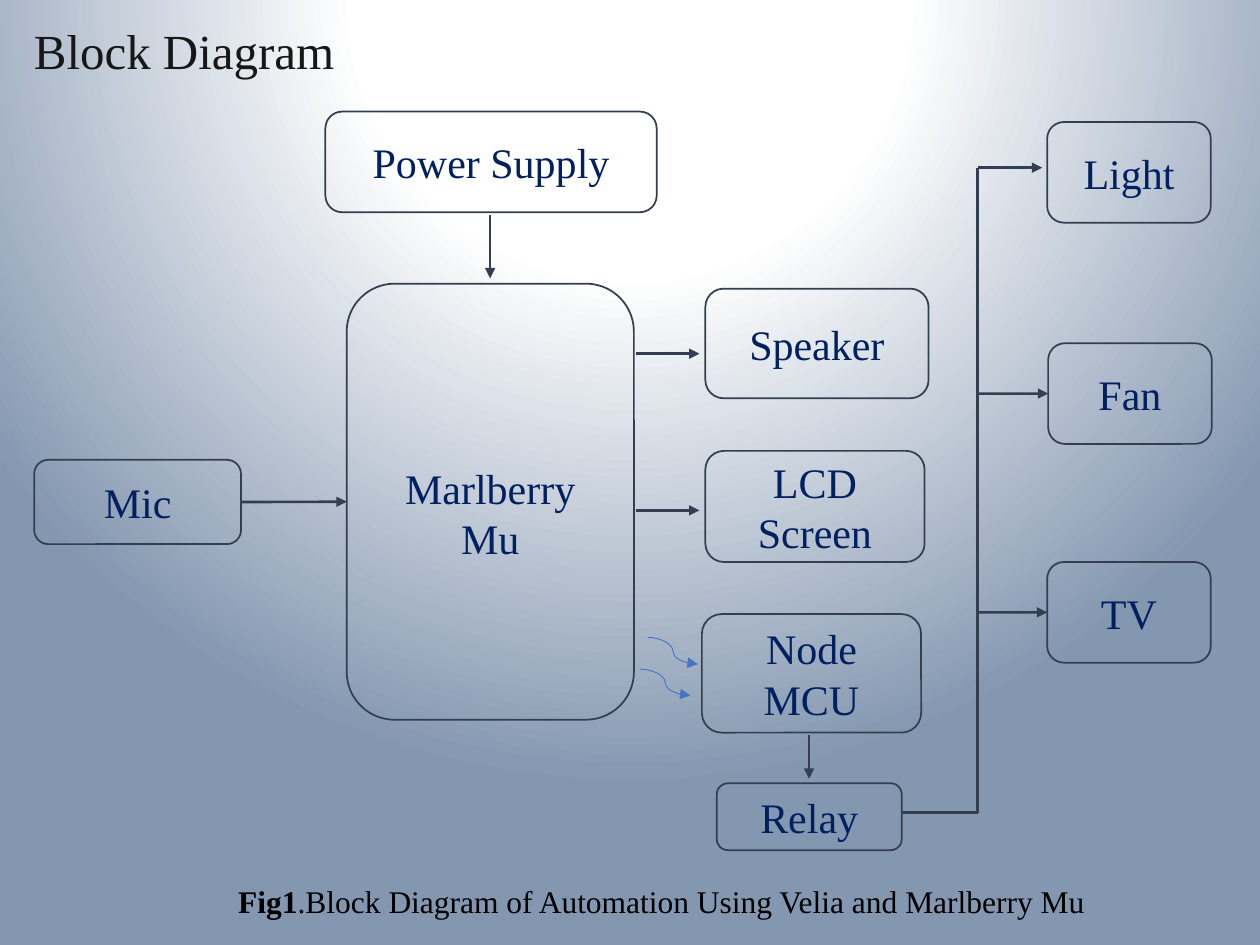
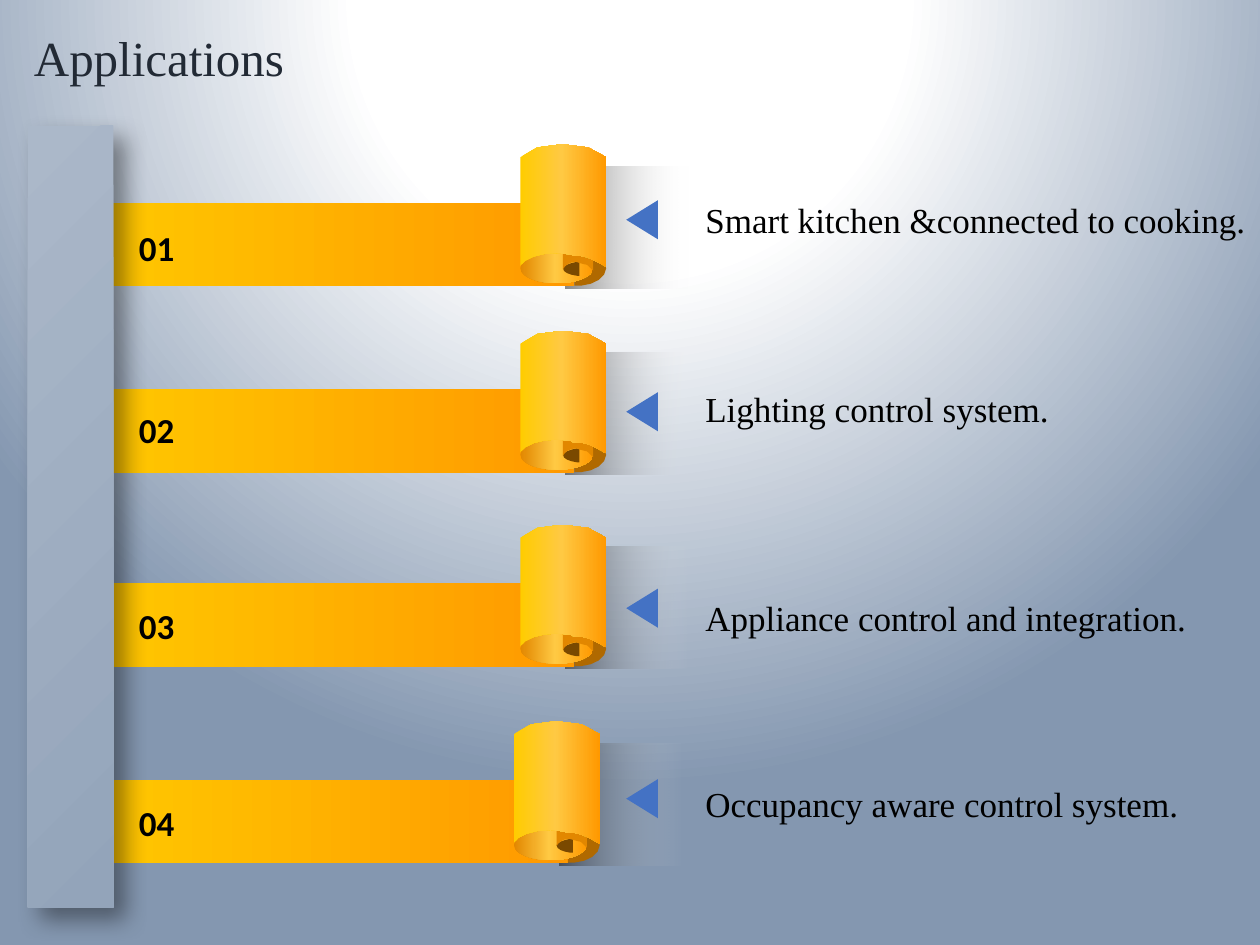
"""Build two slides: an automation block diagram and its applications."""
from dataclasses import dataclass

from lxml.etree import SubElement
from pptx import Presentation
from pptx.dml.color import RGBColor
from pptx.enum.shapes import MSO_CONNECTOR, MSO_SHAPE
from pptx.enum.text import MSO_ANCHOR, MSO_AUTO_SIZE, PP_ALIGN
from pptx.oxml import parse_xml
from pptx.oxml.ns import nsdecls, qn
from pptx.util import Cm, Pt


@dataclass(frozen=True)
class Theme:
    """Fonts, type sizes, colours and gradients shared by the slides."""
    serif: str = "Times New Roman"
    sans: str = "Calibri"
    title_size: int = 28
    block_size: int = 24
    item_size: int = 20
    caption_size: int = 18
    outline: str = "333F50"
    block_text: str = "002060"
    black: str = "000000"
    accent: str = "4472C4"
    curl: str = "B06900"
    hole: str = "7A4900"
    fold: str = "E28700"
    backdrop: tuple = ((0, "FFFFFF", 100), (35, "FFFFFF", 100), (100, "8497B0", 100))
    pillar: tuple = ((0, "93A4BA", 100), (100, "ABB8C9", 100))
    ribbon: tuple = ((0, "FFCC00", 100), (100, "FF9900", 100))
    tube: tuple = ((0, "FFCC00", 100), (48, "FFC943", 100), (100, "FF9900", 100))
    rim: tuple = ((0, "E28700", 100), (48, "FFC943", 100), (100, "FF9900", 100))
    shade: tuple = ((0, "000000", 46), (100, "FFFFFF", 0))


THEME = Theme()
LEFT, RIGHT = 1, 3

DIAGRAM_TITLE = ("Block Diagram", "181717", 0.9)
CONTROLLER = "Marlberry Mu"
BLOCKS = {
    CONTROLLER: (6.99, 5.72, 5.79, 8.79),
    "Power Supply": (6.56, 2.25, 6.68, 2.03),
    "Speaker": (14.22, 5.82, 4.5, 2.21),
    "Mic": (0.69, 9.27, 4.17, 1.7),
    "Node MCU": (14.15, 12.38, 4.42, 2.39),
    "Fan": (21.13, 6.92, 3.3, 2.03),
    "Light": (21.11, 2.46, 3.3, 2.03),
    "TV": (21.11, 11.33, 3.3, 2.03),
    "LCD Screen": (14.22, 9.09, 4.42, 2.24),
    "Relay": (14.45, 15.79, 3.73, 1.35),
}
BUS_X, BUS_TOP, BUS_BOTTOM = 19.71, 3.38, 16.38
RELAY_EXIT = 18.19
FREE_ARROWS = [
    (9.88, 4.34, 9.88, 5.61),
    (12.83, 7.13, 14.1, 7.13),
    (12.83, 10.29, 14.1, 10.29),
    (16.31, 14.81, 16.31, 15.7),
    (BUS_X, BUS_TOP, 21.01, BUS_TOP),
]
BUS_BRANCHES = ["Fan", "TV"]
WIRELESS = [(13.06, 12.85, 14.07, 13.39), (12.9, 13.49, 13.92, 14.02)]
CAPTION = [("Fig1", True),
           (".Block Diagram of Automation Using Velia and Marlberry Mu", False)]

APPLICATIONS_TITLE = ("Applications", "222A35", 1.0)
PILLAR = (0.56, 2.54, 1.73, 15.75)
RIBBON_LEFT, TEXT_LEFT, POINTER_LEFT = 1.09, 13.97, 12.55
APPLICATIONS = [
    # number, text, then scroll left/top and the tops of number, text and pointer
    ("01", "Smart kitchen &connected to cooking.", 10.49, 2.92, 4.45, 3.87, 4.11),
    ("02", "Lighting control system.", 10.49, 6.68, 8.11, 7.68, 7.98),
    ("03", "Appliance control and integration.", 10.49, 10.59, 12.07, 11.91, 11.94),
    ("04", "Occupancy aware control system.", 10.36, 14.55, 16.03, 15.65, 15.78),
]
CURL = [(1.73, 2.49), (1.73, 2.67, 1.5, 2.82, 1.22, 2.84), (1.09, 2.84), (1.09, 2.13),
        (1.22, 2.13), (1.5, 2.18, 1.73, 2.31, 1.73, 2.49)]
HOLE = [(0.86, 2.49), (0.86, 2.57, 0.99, 2.62, 1.14, 2.64), (1.19, 2.64), (1.19, 2.36),
        (1.14, 2.36), (0.99, 2.39, 0.86, 2.44, 0.86, 2.49)]
FOLD = [(1.14, 0.99), (1.24, 0.99, 1.35, 1.04, 1.47, 1.17), (1.47, 2.54), (1.42, 2.49),
        (1.37, 2.44, 1.35, 2.41, 1.3, 2.41), (1.22, 2.39), (1.12, 2.36),
        (0.99, 2.36, 0.89, 2.44, 0.86, 2.51), (0.86, 1.17),
        (0.94, 1.07, 1.04, 0.99, 1.14, 0.99)]
TUBE = [(0, 0.25), (0.28, -0.1, 1.42, -0.1, 1.73, 0.25), (1.73, 2.46), (1.55, 2.36),
        (1.45, 2.31, 1.35, 2.26, 1.22, 2.24), (1.07, 2.24), (1.02, 2.21),
        (0.94, 2.21, 0.84, 2.18, 0.74, 2.18), (0.38, 2.18, 0.08, 2.29, 0, 2.44)]


def cm(lengths):
    return [Cm(length) for length in lengths]


def set_gradient(owner, fill, stops, focus=None):
    fill.solid()
    solid = next(owner.element.iter(qn("a:solidFill")))
    marks = "".join(
        f'<a:gs pos="{place * 1000}"><a:srgbClr val="{color}">'
        f'<a:alpha val="{alpha * 1000}"/></a:srgbClr></a:gs>'
        for place, color, alpha in stops)
    direction = '<a:lin ang="0" scaled="0"/>'
    if focus:
        sides = " ".join(f'{side}="{value * 1000}"' for side, value in zip("ltrb", focus))
        direction = f'<a:path path="circle"><a:fillToRect {sides}/></a:path>'
    solid.getparent().replace(solid, parse_xml(
        f'<a:gradFill {nsdecls("a")} rotWithShape="1"><a:gsLst>{marks}</a:gsLst>'
        f'{direction}</a:gradFill>'))


def paint(shape, fill, focus=None):
    shape.shadow.inherit = False
    shape.line.fill.background()
    if isinstance(fill, str):
        shape.fill.solid()
        shape.fill.fore_color.rgb = RGBColor.from_string(fill)
    else:
        set_gradient(shape, shape.fill, fill, focus)
    return shape


def style(paragraph, size, color, align=PP_ALIGN.LEFT, face=THEME.serif, bold=None):
    paragraph.alignment = align
    font = paragraph.font
    font.name, font.size, font.bold = face, Pt(size), bold
    font.color.rgb = RGBColor.from_string(color)


def add_titled_slide(prs, text, color, spacing):
    slide = prs.slides.add_slide(prs.slide_layouts[5])
    title = slide.shapes.title
    title.left, title.top, title.width, title.height = cm((0.43, 0.43, 22.86, 1.47))
    frame = title.text_frame
    frame.text = text
    frame.auto_size = MSO_AUTO_SIZE.NONE
    frame.vertical_anchor = MSO_ANCHOR.TOP
    frame.paragraphs[0].line_spacing = spacing
    style(frame.paragraphs[0], THEME.title_size, color)
    return slide


def add_label(slide, box, runs, size, **look):
    frame = slide.shapes.add_textbox(*cm(box)).text_frame
    frame.word_wrap = True
    paragraph = frame.paragraphs[0]
    for text, bold in runs:
        run = paragraph.add_run()
        run.text = text
        if len(runs) > 1:
            run.font.bold = bold
    style(paragraph, size, THEME.black, **look)
    return frame


def add_block(slide, name, box):
    block = slide.shapes.add_shape(MSO_SHAPE.ROUNDED_RECTANGLE, *cm(box))
    block.shadow.inherit = False
    block.fill.background()
    block.line.color.rgb = RGBColor.from_string(THEME.outline)
    block.line.width = Pt(1)
    frame = block.text_frame
    frame.text = name
    frame.word_wrap = True
    frame.vertical_anchor = MSO_ANCHOR.MIDDLE
    frame.margin_left = frame.margin_right = Cm(0.4)
    frame.margin_top = frame.margin_bottom = 0
    style(frame.paragraphs[0], THEME.block_size, THEME.block_text, PP_ALIGN.CENTER)
    return block


def add_line(slide, ends, start=None, stop=None, arrow=True, color=THEME.outline,
             width=1.5, kind=MSO_CONNECTOR.STRAIGHT):
    line = slide.shapes.add_connector(kind, *cm(ends))
    line.line.color.rgb = RGBColor.from_string(color)
    line.line.width = Pt(width)
    if start:
        line.begin_connect(*start)
    if stop:
        line.end_connect(*stop)
    if arrow:
        SubElement(line.line._get_or_add_ln(), qn("a:tailEnd"), type="triangle")
    SubElement(line.element.spPr, qn("a:effectLst"))


def build_diagram(prs):
    slide = add_titled_slide(prs, *DIAGRAM_TITLE)
    blocks = {name: add_block(slide, name, box) for name, box in BLOCKS.items()}
    blocks[CONTROLLER].text_frame.margin_top = Cm(0.44)
    add_line(slide, (4.86, 10.12, 6.99, 10.12), (blocks["Mic"], RIGHT),
             (blocks[CONTROLLER], LEFT))
    for ends in FREE_ARROWS:
        add_line(slide, ends)
    for name in BUS_BRANCHES:
        left, top, _, height = BLOCKS[name]
        y = top + height / 2
        add_line(slide, (BUS_X, y, left, y), stop=(blocks[name], LEFT))
    add_line(slide, (RELAY_EXIT, BUS_BOTTOM, BUS_X, BUS_BOTTOM), arrow=False)
    add_line(slide, (BUS_X, BUS_TOP, BUS_X, BUS_BOTTOM), arrow=False)
    for ends in WIRELESS:
        add_line(slide, ends, color=THEME.accent, width=0.5, kind=MSO_CONNECTOR.CURVE)
    add_label(slide, (1.91, 17.65, 22.86, 1.02), CAPTION, THEME.caption_size,
              align=PP_ALIGN.CENTER)


def flatten(outline, steps=4):
    points = [outline[0]]
    for segment in outline[1:]:
        if len(segment) == 2:
            points.append(segment)
            continue
        curve = (*points[-1], *segment)
        knots = list(zip(curve[::2], curve[1::2]))
        for step in range(1, steps + 1):
            t = step / steps
            weights = ((1 - t) ** 3, 3 * t * (1 - t) ** 2, 3 * t * t * (1 - t), t ** 3)
            points.append(tuple(sum(w * knot[axis] for w, knot in zip(weights, knots))
                                for axis in (0, 1)))
    return points


def add_outline(slide, left, top, outline, fill):
    points = [(Cm(left + x), Cm(top + y)) for x, y in flatten(outline)]
    builder = slide.shapes.build_freeform(*points[0])
    builder.add_line_segments(points[1:], close=True)
    paint(builder.convert_to_shape(), fill)


def add_preset(slide, kind, box, fill, focus=None):
    return paint(slide.shapes.add_shape(kind, *cm(box)), fill, focus)


def add_scroll(slide, left, top):
    add_preset(slide, MSO_SHAPE.RECTANGLE, (left + 0.91, top + 0.43, 2.51, 2.46), THEME.shade)
    add_preset(slide, MSO_SHAPE.RECTANGLE,
               (RIBBON_LEFT, top + 1.17, left + 1.09 - RIBBON_LEFT, 1.68), THEME.ribbon)
    add_outline(slide, left, top, CURL, THEME.curl)
    add_preset(slide, MSO_SHAPE.OVAL, (left, top + 2.18, 1.47, 0.61), THEME.rim)
    for outline, fill in [(HOLE, THEME.hole), (FOLD, THEME.fold), (TUBE, THEME.tube)]:
        add_outline(slide, left, top, outline, fill)


def add_pillar(slide):
    pillar = add_preset(slide, MSO_SHAPE.RECTANGLE, PILLAR, THEME.pillar, (100, 100, 0, 0))
    effects = pillar.element.spPr.find(qn("a:effectLst"))
    effects.append(parse_xml(
        f'<a:outerShdw {nsdecls("a")} blurRad="{Pt(13)}" dist="{Pt(9)}" dir="2700000" '
        f'algn="tl" rotWithShape="0"><a:srgbClr val="{THEME.black}"><a:alpha val="40000"/>'
        '</a:srgbClr></a:outerShdw>'))


def build_applications(prs):
    slide = add_titled_slide(prs, *APPLICATIONS_TITLE)
    for _, _, left, top, *_ in APPLICATIONS:
        add_scroll(slide, left, top)
    add_pillar(slide)
    for number, text, _, _, number_top, text_top, pointer_top in APPLICATIONS:
        add_label(slide, (2.03, number_top, 2.26, 1.12), [(number, True)], THEME.item_size,
                  align=PP_ALIGN.CENTER, face=THEME.sans, bold=True)
        pointer = add_preset(slide, MSO_SHAPE.ISOSCELES_TRIANGLE,
                             (POINTER_LEFT, pointer_top, 0.79, 0.64), THEME.accent)
        pointer.rotation = 270
        item = add_label(slide, (TEXT_LEFT, text_top, 11.43, 1.12), [(text, False)],
                         THEME.item_size)
        item.margin_right = 0


def main():
    prs = Presentation()
    prs.slide_width, prs.slide_height = Cm(25.4), Cm(19.05)
    master = prs.slide_master
    set_gradient(master, master.background.fill, THEME.backdrop, (50, -80, 50, 180))
    build_diagram(prs)
    build_applications(prs)
    prs.save("out.pptx")


if __name__ == "__main__":
    main()
